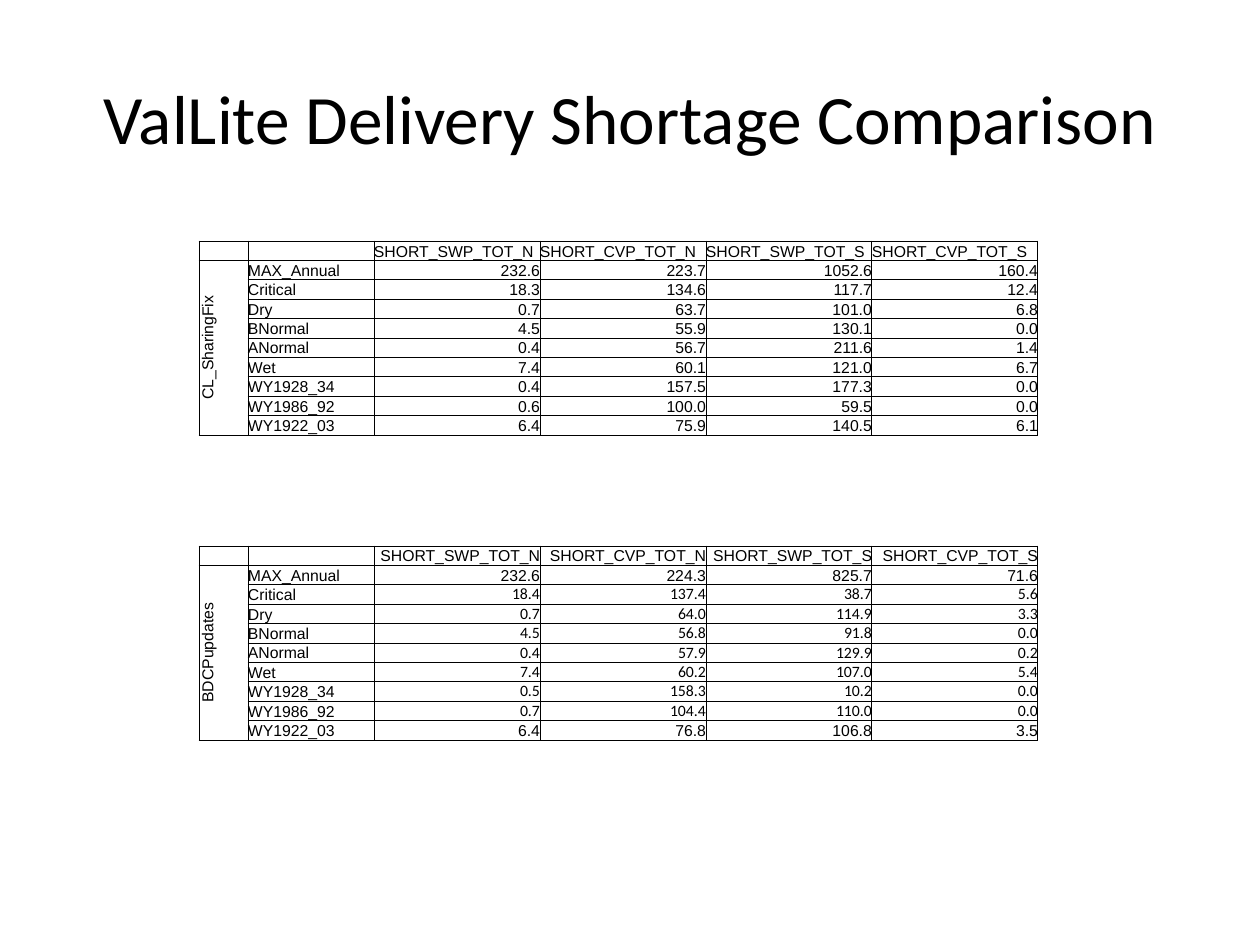
from lxml.etree import SubElement as Sub
from pptx import Presentation
from pptx.dml.color import RGBColor
from pptx.enum.text import MSO_ANCHOR as Anchor, PP_ALIGN as Align
from pptx.oxml.ns import qn
from pptx.util import Pt

PX = 914400 // 126
INK = "000000"
HEADS = [f"SHORT_{name}" for name in
         ("SWP_TOT_N", "CVP_TOT_N", "SWP_TOT_S", "CVP_TOT_S")]
YEARS = ["MAX_Annual", "Critical", "Dry", "BNormal", "ANormal", "Wet",
         "WY1928_34", "WY1986_92", "WY1922_03"]
WIDTHS = [49, 126] + [166] * 4
SHARING = [
    (232.6, 223.7, 1052.6, 160.4),
    (18.3, 134.6, 117.7, 12.4),
    (0.7, 63.7, 101.0, 6.8),
    (4.5, 55.9, 130.1, 0.0),
    (0.4, 56.7, 211.6, 1.4),
    (7.4, 60.1, 121.0, 6.7),
    (0.4, 157.5, 177.3, 0.0),
    (0.6, 100.0, 59.5, 0.0),
    (6.4, 75.9, 140.5, 6.1),
]
UPDATES = [
    (232.6, 224.3, 825.7, 71.6),
    (18.4, 137.4, 38.7, 5.6),
    (0.7, 64.0, 114.9, 3.3),
    (4.5, 56.8, 91.8, 0.0),
    (0.4, 57.9, 129.9, 0.2),
    (7.4, 60.2, 107.0, 5.4),
    (0.5, 158.3, 10.2, 0.0),
    (0.7, 104.4, 110.0, 0.0),
    (6.4, 76.8, 106.8, 3.5),
]


def px(*sizes):
    """Turn pixels into EMU."""
    return [size * PX for size in sizes]


def color(code):
    """Make a colour from a hex string."""
    return RGBColor.from_string(code)


def write(frame, text, size, face, align):
    """Put one formatted paragraph in a text frame."""
    frame.text = text
    para = frame.paragraphs[0]
    para.alignment = align
    for run in para.runs:
        run.font.size = Pt(size)
        run.font.name = face
        run.font.color.rgb = color(INK)
    if not text:
        para._p.get_or_add_endParaRPr().set("sz", str(size * 100))


def border(cell):
    """Draw a thin line on all sides of a cell."""
    props = cell._tc.get_or_add_tcPr()
    for spot, side in enumerate(("lnL", "lnR", "lnT", "lnB")):
        line = Sub(props, qn(f"a:{side}"), w=str(Pt(0.5)))
        fill = Sub(line, qn("a:solidFill"))
        Sub(fill, qn("a:srgbClr"), val=INK)
        props.insert(spot, line)


def style(cell, text, face="Arial", align=Align.LEFT):
    """Fill in one table cell."""
    cell.margin_left = cell.margin_right = 0
    cell.margin_top = cell.margin_bottom = 0
    cell.vertical_anchor = Anchor.BOTTOM
    cell.fill.background()
    border(cell)
    write(cell.text_frame, text, 9, face, align)


def add_title(slide, text):
    """Add the slide title."""
    frame = slide.shapes.add_textbox(*px(63, 38, 1134, 157)).text_frame
    frame.word_wrap = True
    frame.vertical_anchor = Anchor.MIDDLE
    write(frame, text, 39.6, "Calibri", Align.CENTER)


def add_grid(slide, top, label, data, head, light=()):
    """Add a shortage table; rows listed in light have Calibri numbers."""
    rows = [["", "", *HEADS]]
    rows += [["", year, *(f"{num:.1f}" for num in nums)]
             for year, nums in zip(YEARS, data)]
    rows[1][0] = label
    box = px(199, top, sum(WIDTHS), 194)
    table = slide.shapes.add_table(len(rows), len(WIDTHS), *box).table
    table.first_row = table.horz_banding = False
    for col, width in zip(table.columns, px(*WIDTHS)):
        col.width = width
    for r, row in enumerate(rows):
        for c, text in enumerate(row):
            align = Align.LEFT if c < 2 else Align.RIGHT if r else head
            face = "Calibri" if c > 1 and r in light else "Arial"
            style(table.cell(r, c), text, face, align)
    side = table.cell(1, 0)
    side.merge(table.cell(len(rows) - 1, 0))
    side.vertical_anchor = Anchor.MIDDLE
    side.text_frame.paragraphs[0].alignment = Align.CENTER
    side._tc.get_or_add_tcPr().set("vert", "vert270")


def main():
    """Build the slide and save it."""
    deck = Presentation()
    deck.slide_width, deck.slide_height = px(1260, 945)
    slide = deck.slides.add_slide(deck.slide_layouts[6])
    add_title(slide, "ValLite Delivery Shortage Comparison")
    add_grid(slide, 546, "BDCPupdates", UPDATES, Align.RIGHT, range(2, 9))
    add_grid(slide, 241, "CL_SharingFix", SHARING, Align.LEFT)
    deck.save("out.pptx")


main()
